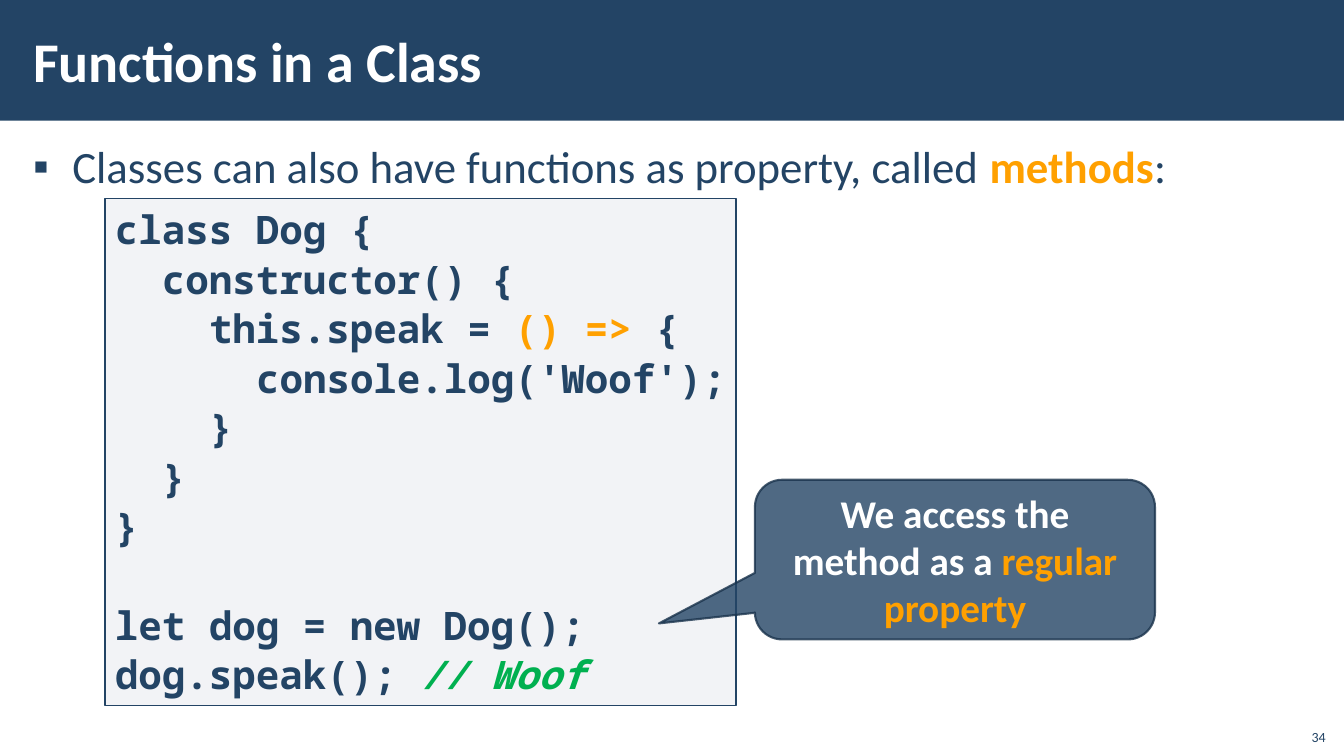
from lxml.etree import SubElement
from pptx import Presentation
from pptx.dml.color import RGBColor
from pptx.enum.shapes import MSO_SHAPE
from pptx.enum.text import MSO_ANCHOR, MSO_AUTO_SIZE, PP_ALIGN
from pptx.oxml.ns import qn
from pptx.util import Inches, Pt

COLORS = {"navy": "234465", "edge": "1A334C", "white": "FFFFFF",
          "orange": "FFA000", "green": "00B050", "mist": "ADB4C3"}
COLUMNS, ROWS = 128, 72
CODE_STEP = 33.6  # points: two monospaced characters at 28 pt
CODE_LINE = 35.4  # points: height of one code line


class Page:
    """Holds the style and the current slide."""

    def __init__(self, deck):
        self.cell_width = deck.slide_width / COLUMNS
        self.cell_height = deck.slide_height / ROWS
        self.slide = deck.slides.add_slide(deck.slide_layouts[1])
        self.shapes = self.slide.shapes

    def cells(self, left, top, width, height):
        return (round(left * self.cell_width), round(top * self.cell_height),
                round(width * self.cell_width), round(height * self.cell_height))

    def color(self, target, name):
        target.rgb = RGBColor.from_string(COLORS[name])

    def fade(self, element, opacity):
        if opacity < 100:
            for node in element.iter(qn("a:srgbClr")):
                SubElement(node, qn("a:alpha"), val=str(opacity * 1000))

    def frame(self, box, **settings):
        values = {"word_wrap": True, "auto_size": MSO_AUTO_SIZE.NONE,
                  "vertical_anchor": MSO_ANCHOR.TOP, **settings}
        for name, value in values.items():
            setattr(box.text_frame, name, value)
        return box.text_frame

    def add_spans(self, para, spans, base, **settings):
        """Fill a paragraph with (text, changes to the base format) spans."""
        for name, value in settings.items():
            setattr(para, name, value)
        for text, changes in spans:
            span = para.add_run()
            span.text = text
            style = {**base, **changes}
            self.color(span.font.color, style.pop("color"))
            for name, value in style.items():
                setattr(span.font, name, value)

    def indent(self, para, left, first=0, bullet=None):
        properties = para._p.get_or_add_pPr()
        properties.set("marL", str(Pt(left)))
        properties.set("indent", str(Pt(first)))
        if bullet:
            SubElement(properties, qn("a:buFont"), typeface="Arial")
            SubElement(properties, qn("a:buChar"), char=bullet)

    def place(self, box, area):
        box.left, box.top, box.width, box.height = self.cells(*area)
        return box

    def shape(self, kind, area, fill, opacity=100, line=None, weight=1, line_opacity=100):
        box = self.shapes.add_shape(kind, *self.cells(*area))
        box.shadow.inherit = False
        box.fill.solid()
        self.color(box.fill.fore_color, fill)
        self.fade(box._element.spPr.find(qn("a:solidFill")), opacity)
        if line:
            box.line.width = Pt(weight)
            self.color(box.line.color, line)
            self.fade(box._element.spPr.find(qn("a:ln")), line_opacity)
        else:
            box.line.fill.background()
        return box

    def band(self, area):
        box = self.shape(MSO_SHAPE.RECTANGLE, area, "navy")
        self.shapes._spTree.insert(2, box._element)  # behind the title

    def title(self, area, text, base):
        box = self.place(self.shapes.title, area)
        frame = self.frame(box, vertical_anchor=MSO_ANCHOR.MIDDLE, margin_left=Inches(0.12))
        self.add_spans(frame.paragraphs[0], [(text, {})], base, alignment=PP_ALIGN.LEFT)

    def bullet(self, area, spans, base):
        box = self.place(self.slide.placeholders[1], area)
        frame = self.frame(box, margin_left=Inches(0.12), margin_right=Inches(0.12),
                           margin_top=Inches(0.04), margin_bottom=Inches(0.04))
        para = frame.paragraphs[0]
        self.add_spans(para, spans, base, line_spacing=1.05,
                       space_before=Pt(6), space_after=Pt(6))
        self.indent(para, 28, -28, "▪")

    def code(self, area, lines, base):
        box = self.shape(MSO_SHAPE.RECTANGLE, area, "mist", 15, "navy")
        frame = self.frame(box, margin_right=0)
        for number, (level, gap, spans) in enumerate(lines):
            para = frame.add_paragraph() if number else frame.paragraphs[0]
            self.add_spans(para, spans, base, alignment=PP_ALIGN.LEFT,
                           line_spacing=1.05, space_before=Pt(gap * CODE_LINE))
            self.indent(para, level * CODE_STEP)

    def callout(self, area, tip, spans, base):
        box = self.shape(MSO_SHAPE.ROUNDED_RECTANGULAR_CALLOUT, area, "navy", 80,
                         "edge", 1.5, 80)
        for number, value in enumerate(tip):
            box.adjustments[number] = value
        frame = self.frame(box, vertical_anchor=MSO_ANCHOR.MIDDLE)
        self.add_spans(frame.paragraphs[0], spans, base, alignment=PP_ALIGN.CENTER)

    def number(self, area, text, base):
        box = self.shapes.add_textbox(*self.cells(*area))
        frame = self.frame(box, vertical_anchor=MSO_ANCHOR.BOTTOM)
        self.add_spans(frame.paragraphs[0], [(text, {})], base, alignment=PP_ALIGN.RIGHT)


def text_style(size, color, bold=False, name="Calibri"):
    return {"size": Pt(size), "color": color, "bold": bold, "name": name}


def main():
    deck = Presentation()
    deck.slide_width, deck.slide_height = Inches(13.33), Inches(7.5)
    page = Page(deck)
    orange = {"color": "orange"}

    # Heading and bullet
    page.band((0, 0, COLUMNS, 11.5))
    page.title((2, 1.06, 102, 9.3), "Functions in a Class", text_style(40, "white", True))
    page.bullet((2, 12.6, 124, 58.1),
                [("Classes can also have functions as property, called ", {}),
                 ("methods", {"color": "orange", "bold": True}), (":", {})],
                text_style(32, "navy"))

    # Code lines: indent level, empty lines above, spans
    page.code((10, 18.9, 60.1, 48.3), [
        (0, 0, [("class Dog {", {})]),
        (1, 0, [("constructor() {", {})]),
        (2, 0, [("this.speak = ", {}), ("() =>", orange), (" {", {})]),
        (3, 0, [("console.log('Woof');", {})]),
        (2, 0, [("}", {})]),
        (1, 0, [("}", {})]),
        (0, 0, [("}", {})]),
        (0, 1, [("let dog = new Dog();", {})]),
        (0, 0, [("dog.speak(); ", {}), ("// Woof", {"color": "green", "italic": True})]),
    ], text_style(28, "navy", True, "Noto Sans Mono"))

    # Remark on the last code line, and the slide number
    page.callout((71.9, 45.7, 38.1, 15.2), (-0.74, 0.4, 0.17),
                 [("We access the method as a ", {}), ("regular property", orange)],
                 text_style(28, "white", True))
    page.number((123.4, 68.4, 3.8, 3.1), "34", text_style(10, "navy"))

    deck.save("out.pptx")


if __name__ == "__main__":
    main()
